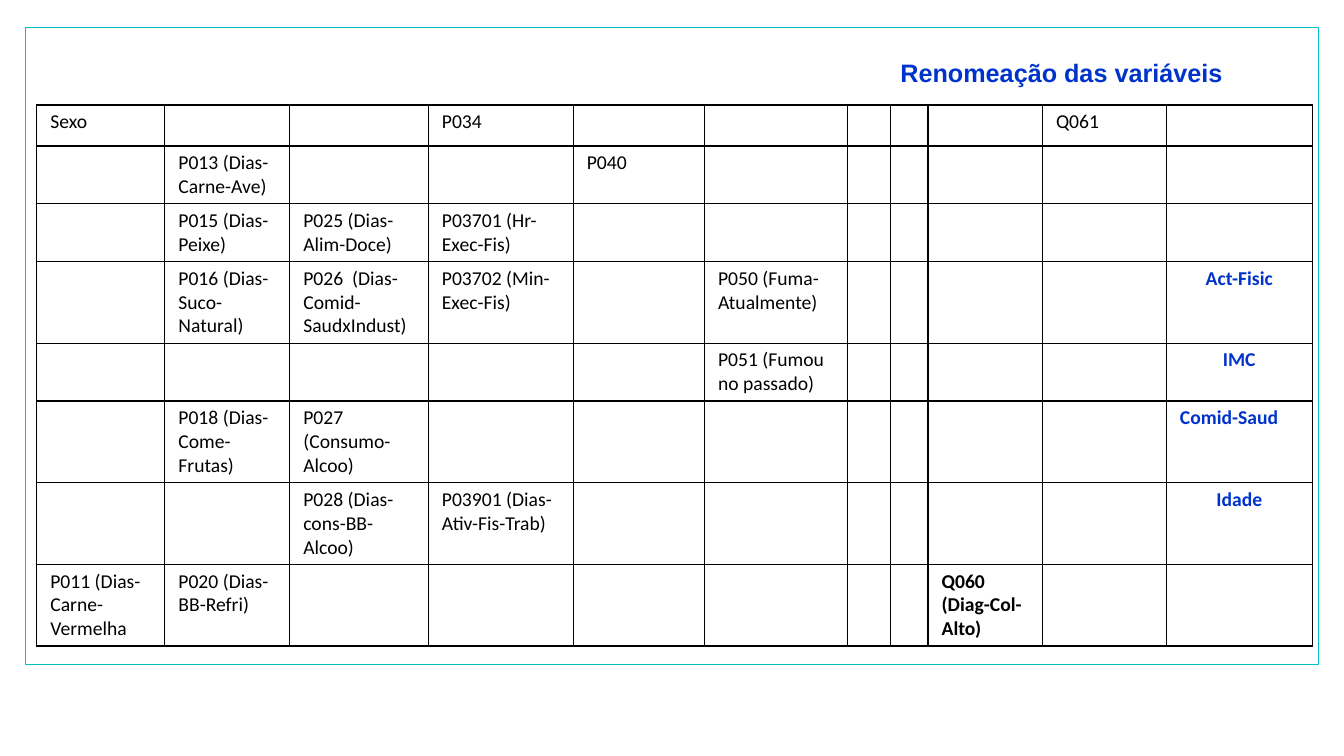
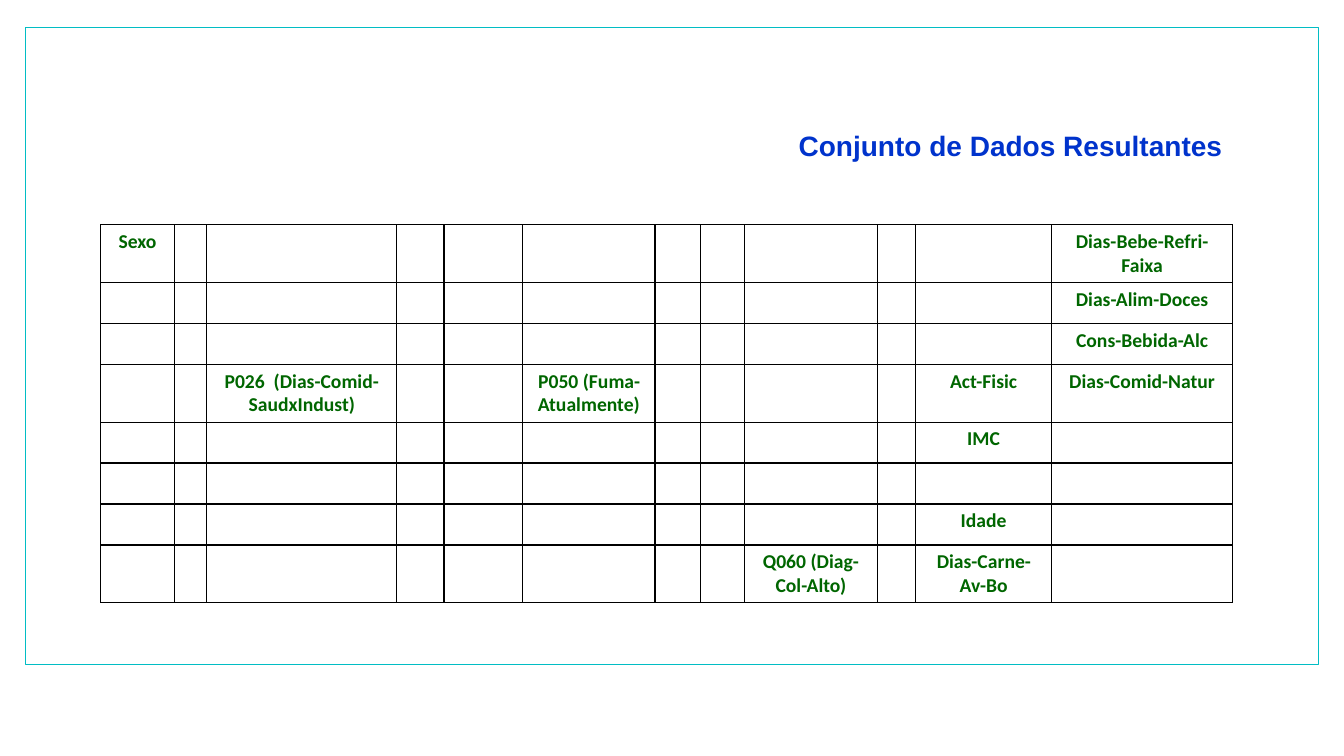
from dataclasses import dataclass

from lxml.etree import SubElement as Sub
from pptx import Presentation
from pptx.dml.color import RGBColor as Rgb
from pptx.enum.shapes import MSO_SHAPE as Shape
from pptx.enum.text import MSO_ANCHOR as Anchor, PP_ALIGN as Align
from pptx.oxml.ns import qn
from pptx.util import Pt

SCALE = 9525


@dataclass(frozen=True)
class Theme:
    """Colours, fonts and type sizes of the deck."""
    white: str = "FFFFFF"
    black: str = "000000"
    blue: str = "0033CC"
    green: str = "006600"
    teal: str = "01BDC4"
    head: str = "Arial"
    body: str = "Calibri"
    cell: int = 14
    line: int = 1


@dataclass(frozen=True)
class Style:
    """Look of the text in a group of cells."""
    color: str
    bold: bool = False
    align: Align = Align.LEFT


THEME = Theme()
PLAIN = Style(THEME.black)
STRONG = Style(THEME.black, True)
NEW = Style(THEME.blue, True)
NEW_MID = Style(THEME.blue, True, Align.CENTER)
FINAL = Style(THEME.green, True, Align.CENTER)

LOW, MID, HIGH = 39, 54, 77

NAMES = {
    "cols": [122, 119, 132, 138, 125, 136, 41, 36, 109, 118, 139],
    "rows": [LOW, MID, MID, HIGH, MID, HIGH, HIGH, HIGH],
    "groups": [
        (PLAIN, {
            (0, 0): "Sexo", (0, 3): "P034", (0, 9): "Q061",
            (1, 1): "P013 (Dias-Carne-Ave)", (1, 4): "P040",
            (2, 1): "P015 (Dias-Peixe)",
            (2, 2): "P025 (Dias-Alim-Doce)",
            (2, 3): "P03701 (Hr-Exec-Fis)",
            (3, 1): "P016 (Dias-Suco-Natural)",
            (3, 2): "P026  (Dias-Comid-SaudxIndust)",
            (3, 3): "P03702 (Min-Exec-Fis)",
            (3, 5): "P050 (Fuma-Atualmente)",
            (4, 5): "P051 (Fumou no passado)",
            (5, 1): "P018 (Dias-Come-Frutas)",
            (5, 2): "P027 (Consumo-Alcoo)",
            (6, 2): "P028 (Dias-cons-BB-Alcoo)",
            (6, 3): "P03901 (Dias-Ativ-Fis-Trab)",
            (7, 0): "P011 (Dias-Carne-Vermelha",
            (7, 1): "P020 (Dias-BB-Refri)",
        }),
        (STRONG, {(7, 8): "Q060 (Diag-Col-Alto)"}),
        (NEW, {(5, 10): "Comid-Saud"}),
        (NEW_MID, {(3, 10): "Act-Fisic", (4, 10): "IMC", (6, 10): "Idade"}),
    ],
}

RESULT = {
    "cols": [70, 31, 181, 45, 75, 126, 43, 42, 127, 36, 130, 172],
    "rows": [MID, LOW, LOW, MID, LOW, LOW, LOW, MID],
    "groups": [
        (FINAL, {
            (0, 0): "Sexo", (0, 11): "Dias-Bebe-Refri-Faixa",
            (1, 11): "Dias-Alim-Doces", (2, 11): "Cons-Bebida-Alc",
            (3, 2): "P026  (Dias-Comid-SaudxIndust)",
            (3, 5): "P050 (Fuma-Atualmente)",
            (3, 10): "Act-Fisic", (3, 11): "Dias-Comid-Natur",
            (4, 10): "IMC", (6, 10): "Idade",
            (7, 8): "Q060 (Diag-Col-Alto)", (7, 10): "Dias-Carne-Av-Bo",
        }),
    ],
}


def px(*sizes):
    """Turn px lengths into EMU."""
    return [size * SCALE for size in sizes]


def format_font(font, name, size, color, bold):
    """Set face, size, colour and weight of a font."""
    font.name, font.size, font.bold = name, Pt(size), bold
    font.color.rgb = Rgb.from_string(color)


def add_frame(slide):
    """Draw the teal frame and hand it to the slide's layout."""
    frame = slide.shapes.add_shape(Shape.RECTANGLE, *px(24, 26, 1232, 607))
    frame.shadow.inherit = False
    frame.fill.background()
    frame.line.color.rgb = Rgb.from_string(THEME.teal)
    frame.line.width = Pt(THEME.line)
    slide.slide_layout.shapes.element.insert(2, frame.element)


def set_title(slide, text, top, height, size):
    """Place and format the title on the right."""
    title = slide.shapes.title
    title.left, title.top, title.width, title.height = px(65, top, 1109, height)
    frame = title.text_frame
    frame.text = text
    frame.vertical_anchor = Anchor.TOP
    para = frame.paragraphs[0]
    para.alignment = Align.RIGHT
    format_font(para.runs[0].font, THEME.head, size, THEME.blue, True)


def set_edges(cell):
    """Give a cell white fill and black borders."""
    props = cell._tc.get_or_add_tcPr()
    for side in ("a:lnL", "a:lnR", "a:lnT", "a:lnB"):
        edge = Sub(props, qn(side), w=str(Pt(THEME.line)))
        fill = Sub(edge, qn("a:solidFill"))
        Sub(fill, qn("a:srgbClr"), val=THEME.black)
    cell.fill.solid()
    cell.fill.fore_color.rgb = Rgb.from_string(THEME.white)


def write_cell(cell, text, style):
    """Write styled text in a cell."""
    cell.text = text
    para = cell.text_frame.paragraphs[0]
    para.alignment = style.align
    format_font(para.runs[0].font, THEME.body, THEME.cell, style.color, style.bold)


def add_grid(slide, left, top, cols, rows, groups):
    """Add a ruled table and fill its groups of cells."""
    box = px(left, top, sum(cols), sum(rows))
    table = slide.shapes.add_table(len(rows), len(cols), *box).table
    table.first_row = table.horz_banding = False
    for col, width in zip(table.columns, px(*cols)):
        col.width = width
    for row, height in zip(table.rows, px(*rows)):
        row.height = height
    for cell in table.iter_cells():
        cell.margin_left, cell.margin_right = px(13, 13)
        set_edges(cell)
    for style, texts in groups:
        for spot, text in texts.items():
            write_cell(table.cell(*spot), text, style)


def main():
    """Build the two slides and save them."""
    deck = Presentation()
    deck.slide_width, deck.slide_height = px(1280, 720)
    layout = deck.slide_layouts[5]

    first = deck.slides.add_slide(layout)
    add_frame(first)
    set_title(first, "Renomeação das variáveis", 50, 38, 18)
    add_grid(first, 35, 100, **NAMES)

    second = deck.slides.add_slide(layout)
    set_title(second, "Conjunto de Dados Resultantes", 118, 42, 20)
    add_grid(second, 96, 214, **RESULT)

    deck.save("out.pptx")


if __name__ == "__main__":
    main()
